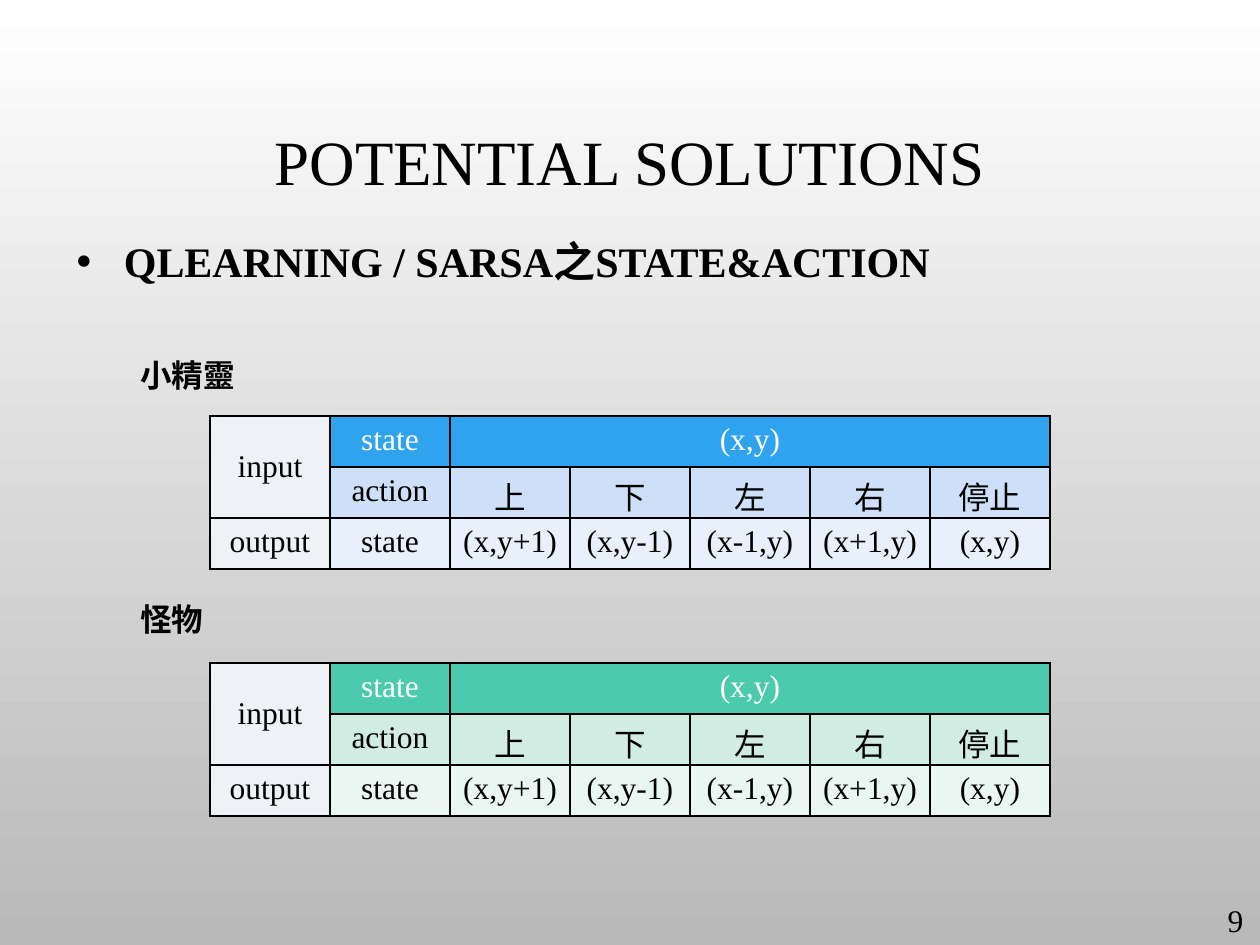
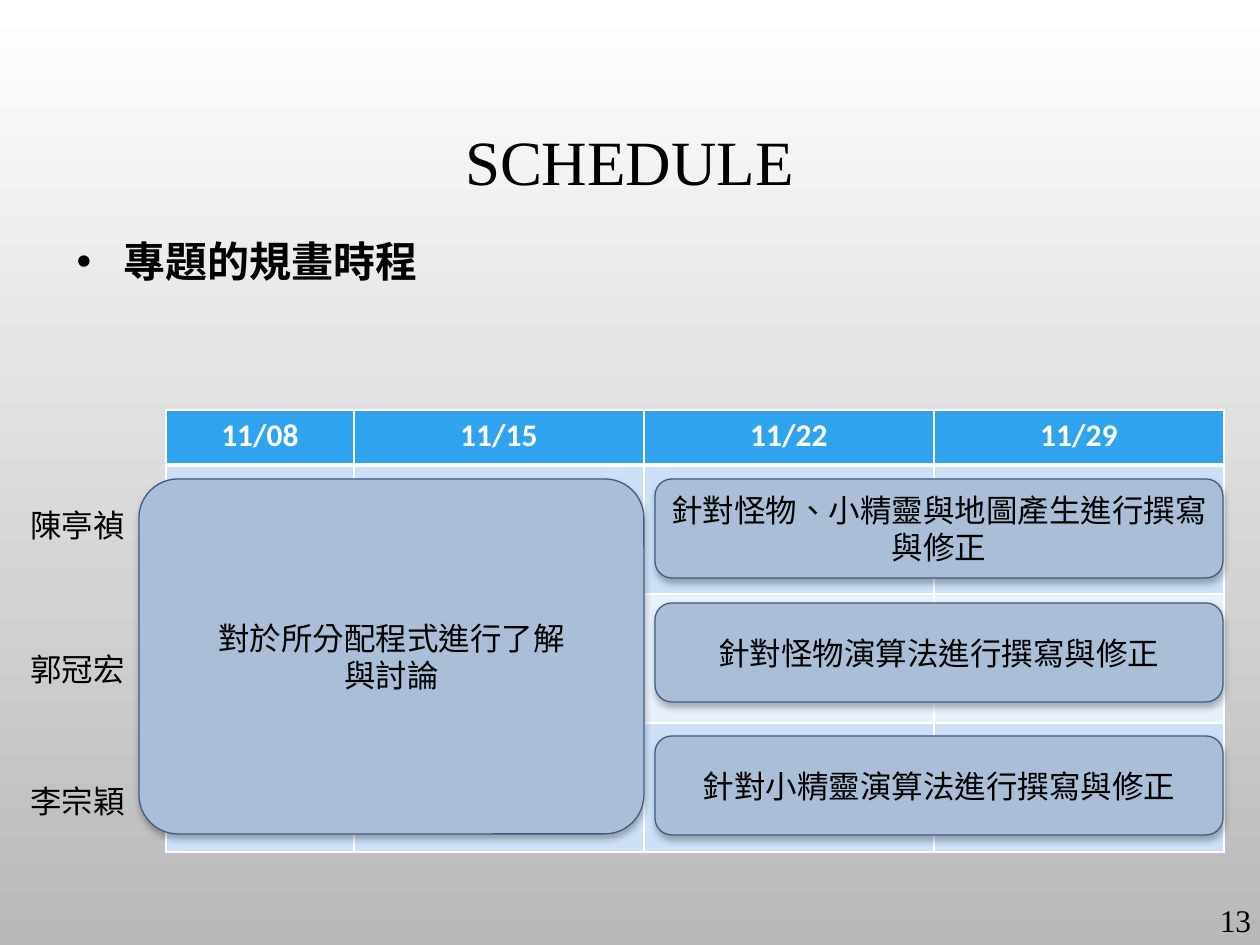
import lxml.etree
import pptx
import pptx.dml.color
import pptx.enum.lang
import pptx.enum.shapes
import pptx.enum.text
import pptx.oxml.ns
import pptx.util

PX_PER_INCH = 126
SERIF, SANS = "Times New Roman", "Calibri"
BLACK, WHITE, GREY = "000000", "FFFFFF", "B9B9B9"
LABEL = "EEF2F7"
# header, strong band, light band
BLUES = ("2FA3EE", "CDE0F8", "E8F0FC")
GREENS = ("4BCAAD", "D0ECE3", "E9F6F1")
BLOCK_FILL, BLOCK_LINE = "AABED7", "3E5C83"

ALIGN = pptx.enum.text.PP_ALIGN
ANCHOR = pptx.enum.text.MSO_ANCHOR
NO_FIT = pptx.enum.text.MSO_AUTO_SIZE.NONE
CHINESE = pptx.enum.lang.MSO_LANGUAGE_ID.TRADITIONAL_CHINESE


def px(n):
    return pptx.util.Emu(round(n * 914400 / PX_PER_INCH))


def rgb(color):
    return pptx.dml.color.RGBColor.from_string(color)


def add_xml(parent, tag, **attrs):
    return lxml.etree.SubElement(parent, pptx.oxml.ns.qn(tag), attrs)


class Deck:
    """Holds the shared style and the slide being drawn."""

    def __init__(self):
        self.prs = pptx.Presentation()
        self.prs.slide_width, self.prs.slide_height = px(1260), px(945)
        fill = self.prs.slide_master.background.fill
        fill.gradient()
        fill.gradient_angle = 270
        for stop, color, position in zip(fill.gradient_stops, (WHITE, GREY), (0, 1)):
            stop.color.rgb = rgb(color)
            stop.position = position

    def new_slide(self, title, topic, number):
        self.s = self.prs.slides.add_slide(self.prs.slide_layouts[1])
        head, body = self.s.placeholders
        self.place(head, 94, 55, 1071, 221)
        self.set_text(head.text_frame, title, size=36, align=ALIGN.CENTER)
        head.text_frame.vertical_anchor = ANCHOR.MIDDLE
        head.text_frame.paragraphs[0].line_spacing = 0.9
        self.place(body, 64, 219, 1071, 471)
        self.set_text(body.text_frame, topic, size=24, bold=True)
        p = body.text_frame.paragraphs[0]
        p.line_spacing = 1.2
        p.space_before = pptx.util.Pt(10)
        for sp in (head, body):
            sp.text_frame.auto_size = NO_FIT
        self.text(number, 1207, 895, 57, align=ALIGN.CENTER)

    def place(self, sp, x, y, w, h):
        sp.left, sp.top, sp.width, sp.height = px(x), px(y), px(w), px(h)

    def set_text(self, tf, text, size=18, font=SERIF, color=BLACK, bold=False, align=None):
        tf.text = text
        for p in tf.paragraphs:
            p.alignment = align
            for r in p.runs:
                r.font.size = pptx.util.Pt(size)
                r.font.name = font
                r.font.bold = bold
                r.font.color.rgb = rgb(color)
                r.font.language_id = CHINESE

    def text(self, text, x, y, w, **style):
        sp = self.s.shapes.add_textbox(px(x), px(y), px(w), px(50))
        sp.text_frame.word_wrap = False
        self.set_text(sp.text_frame, text, **style)

    def block(self, text, x, y, w, h, margin, corner=0.17):
        """Rounded task block with a soft shadow below it."""
        kind = pptx.enum.shapes.MSO_SHAPE.ROUNDED_RECTANGLE
        sp = self.s.shapes.add_shape(kind, px(x), px(y), px(w), px(h))
        sp.adjustments[0] = corner
        sp.fill.solid()
        sp.fill.fore_color.rgb = rgb(BLOCK_FILL)
        sp.line.color.rgb = rgb(BLOCK_LINE)
        sp.line.width = pptx.util.Pt(0.75)
        sp.shadow.inherit = False
        effects = sp._element.spPr.find(pptx.oxml.ns.qn("a:effectLst"))
        shadow = add_xml(effects, "a:outerShdw", blurRad="50800", dist="25400",
                         dir="5400000", rotWithShape="0")
        add_xml(add_xml(shadow, "a:srgbClr", val=BLACK), "a:alpha", val="28000")
        tf = sp.text_frame
        tf.word_wrap = True
        tf.vertical_anchor = ANCHOR.MIDDLE
        tf.margin_left = tf.margin_right = px(margin)
        tf.margin_top = tf.margin_bottom = 0
        self.set_text(tf, text, align=ALIGN.CENTER)

    def table(self, x, y, widths, heights):
        frame = self.s.shapes.add_table(len(heights), len(widths), px(x), px(y),
                                        px(sum(widths)), px(sum(heights)))
        table = frame.table
        for column, w in zip(table.columns, widths):
            column.width = px(w)
        for row, h in zip(table.rows, heights):
            row.height = px(h)
        return table

    def cell(self, cell, text, fill, border, top=1, bottom=1, **style):
        tc_pr = cell._tc.get_or_add_tcPr()
        for side, width in zip("LRTB", (1, 1, top, bottom)):
            ln = add_xml(tc_pr, f"a:ln{side}", w=str(int(pptx.util.Pt(width))))
            add_xml(add_xml(ln, "a:solidFill"), "a:srgbClr", val=border)
        cell.fill.solid()
        cell.fill.fore_color.rgb = rgb(fill)
        if text:
            self.set_text(cell.text_frame, text, align=ALIGN.CENTER, **style)

    def transition_table(self, y, colors):
        """What each action does to the state (x,y)."""
        rows = [
            ["input", "state", "(x,y)", "", "", "", ""],
            ["", "action", "上", "下", "左", "右", "停止"],
            ["output", "state", "(x,y+1)", "(x,y-1)", "(x-1,y)", "(x+1,y)", "(x,y)"],
        ]
        table = self.table(210, y, [120] * 7, [51] * 3)
        for i, row in enumerate(rows):
            for j, text in enumerate(row):
                self.cell(table.cell(i, j), text, colors[i] if j else LABEL, BLACK,
                          color=WHITE if i == 0 and j else BLACK)
        table.cell(0, 0).merge(table.cell(1, 0))
        table.cell(0, 2).merge(table.cell(0, 6))
        table.cell(0, 0).vertical_anchor = ANCHOR.MIDDLE

    def calendar(self, dates):
        table = self.table(166, 410, [188, 290, 290, 290], [55, 129, 129, 129])
        header, strong, light = BLUES
        for i, fill in enumerate((header, strong, light, strong)):
            for j, date in enumerate(dates):
                self.cell(table.cell(i, j), "" if i else date, fill, WHITE,
                          top=3 if i == 1 else 1, bottom=1 if i else 3,
                          font=SANS, color=WHITE, bold=True)


def main():
    deck = Deck()

    deck.new_slide("POTENTIAL SOLUTIONS", "QLEARNING / SARSA之STATE&ACTION", "9")
    for agent, label_y, table_y, colors in (("小精靈", 350, 416, BLUES),
                                            ("怪物", 594, 663, GREENS)):
        deck.transition_table(table_y, colors)
        deck.text(agent, 128, label_y, 120, font=SANS, bold=True)

    deck.new_slide("SCHEDULE", "專題的規畫時程", "13")
    deck.calendar(["11/08", "11/15", "11/22", "11/29"])
    deck.block("對於所分配程式進行了解與討論", 139, 479, 505, 355, 66, corner=0.11)
    for member, name_y, task, task_y in (
            ("陳亭禎", 500, "針對怪物、小精靈與地圖產生進行撰寫與修正", 479),
            ("郭冠宏", 644, "針對怪物演算法進行撰寫與修正", 603),
            ("李宗穎", 776, "針對小精靈演算法進行撰寫與修正", 736)):
        deck.text(member, 18, name_y, 120)
        deck.block(task, 655, task_y, 568, 99, 7)

    deck.prs.save("out.pptx")


if __name__ == "__main__":
    main()
